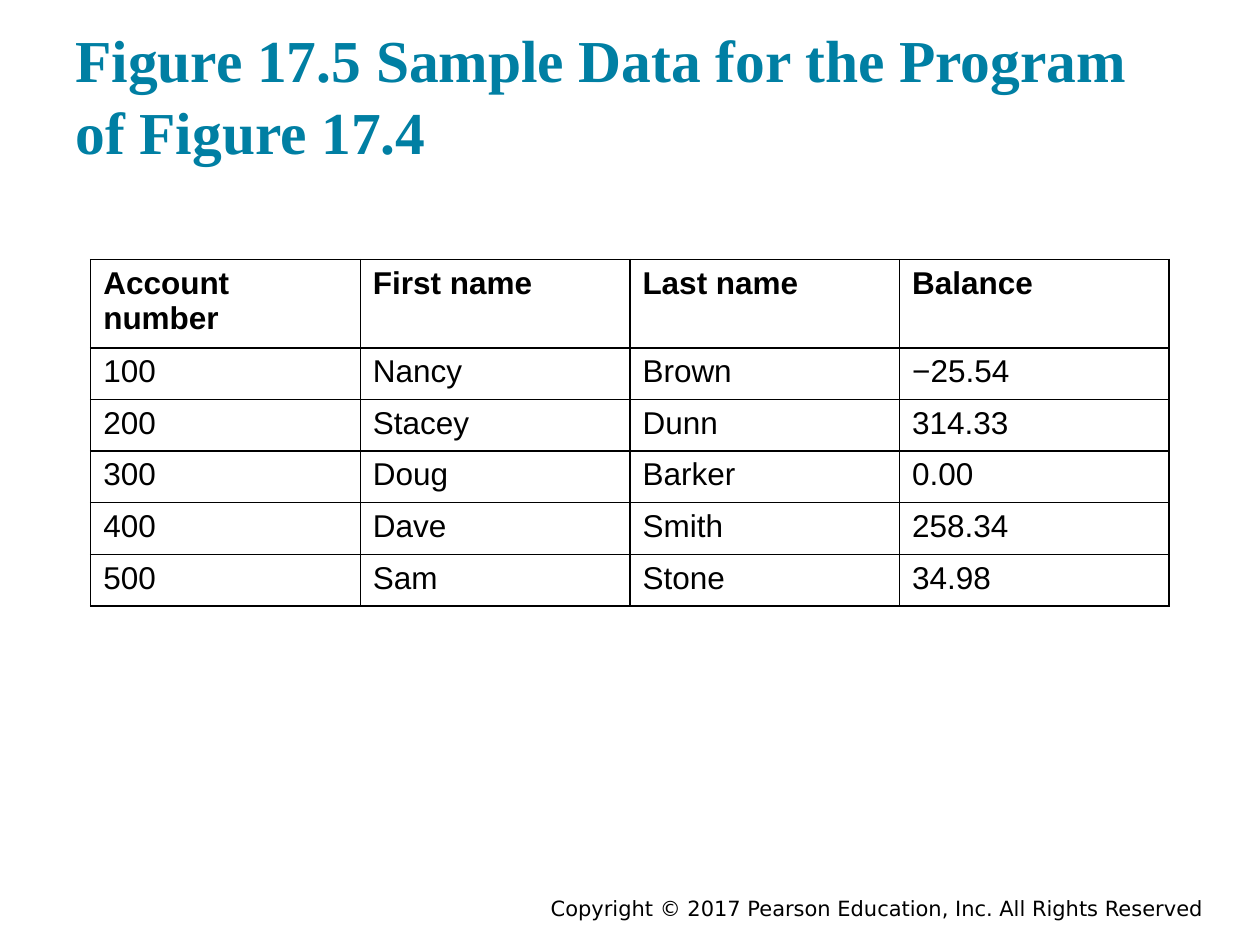
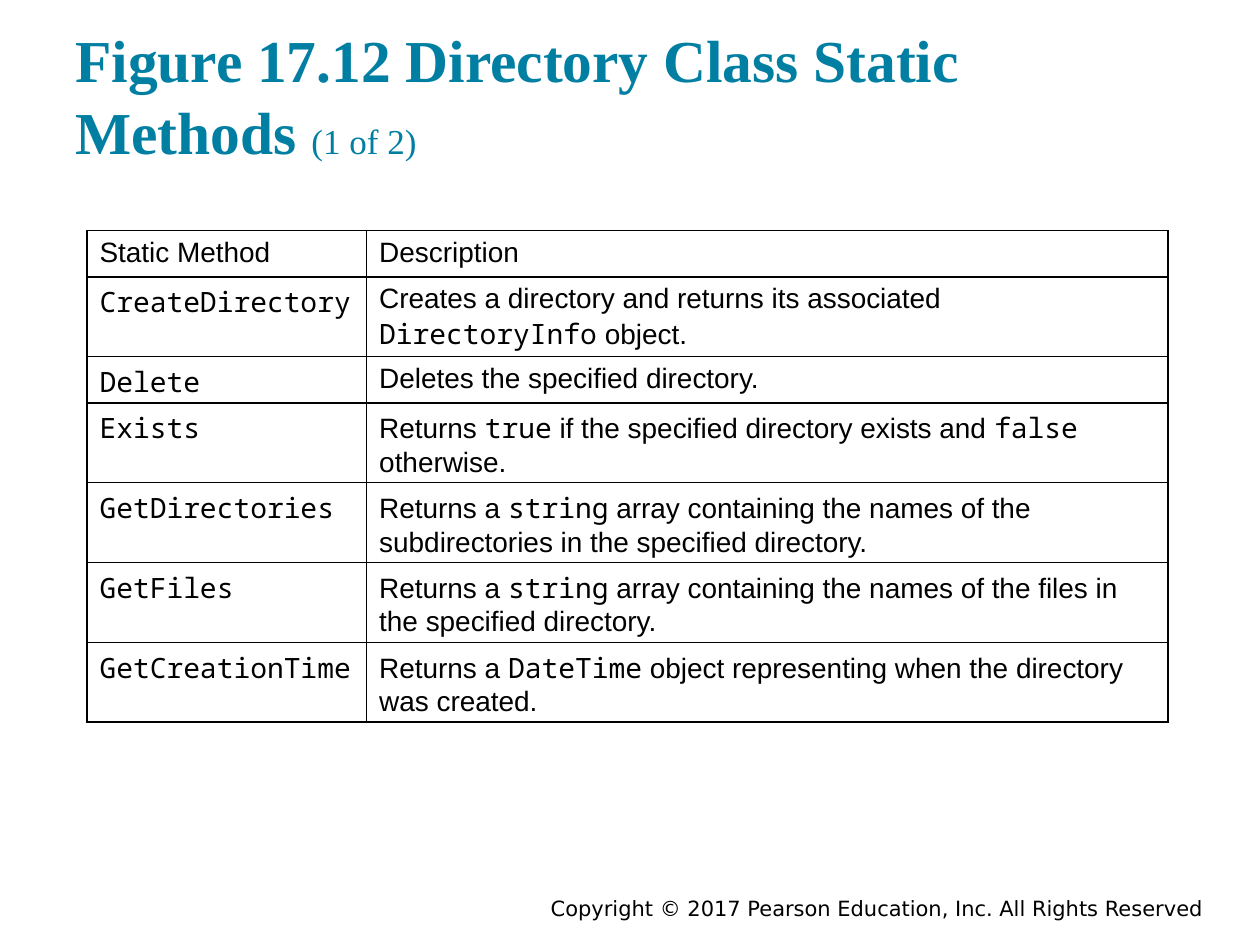
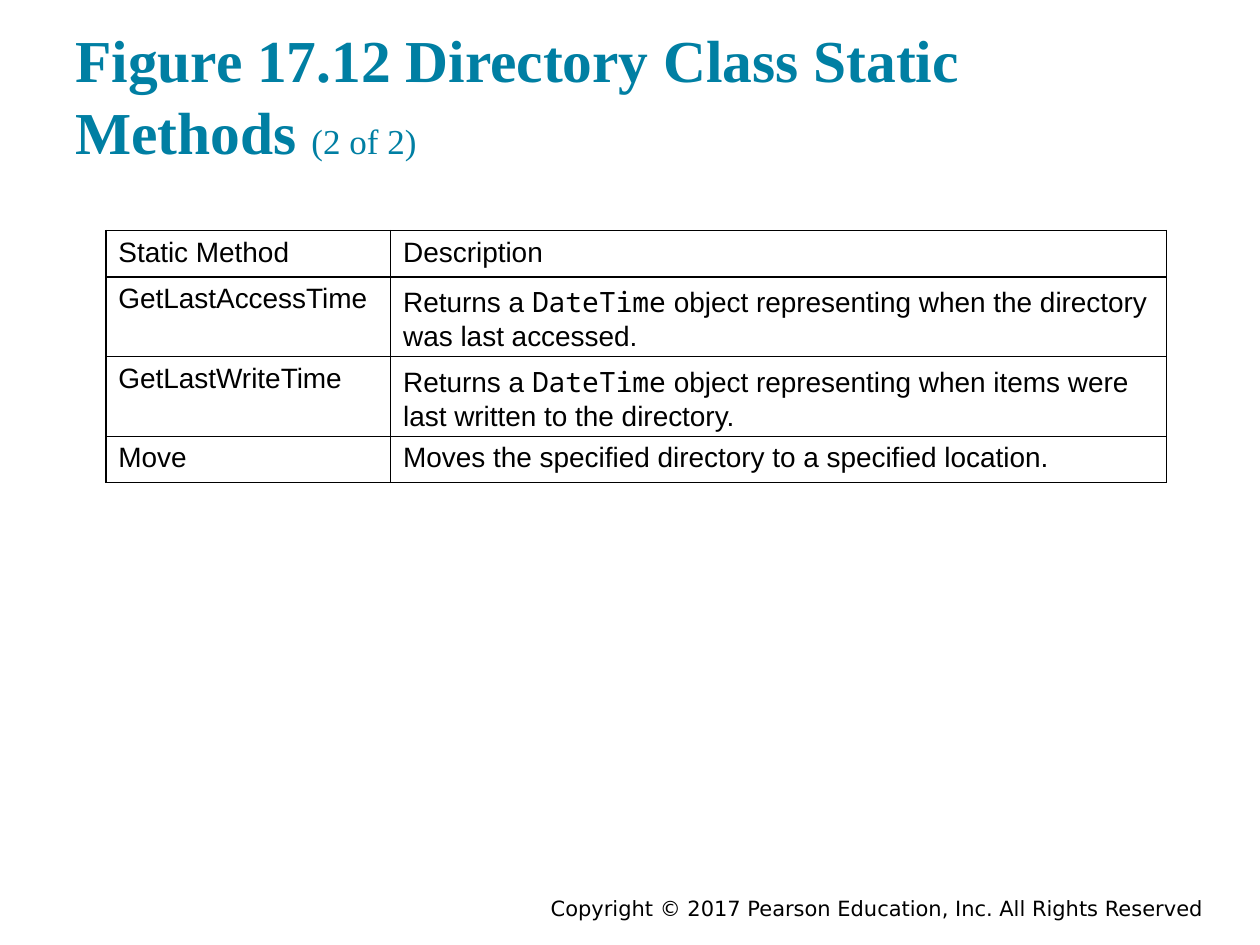
from pptx import Presentation
from pptx.dml.color import RGBColor
from pptx.enum.text import MSO_ANCHOR, PP_ALIGN
from pptx.oxml import parse_xml
from pptx.oxml.ns import nsdecls
from pptx.util import Inches, Pt

TEAL = RGBColor(0x00, 0x7F, 0xA3)
BLACK = RGBColor(0, 0, 0)
WHITE = RGBColor(0xFF, 0xFF, 0xFF)

TITLE_FONT = "Times New Roman"
BODY_FONT = "Arial"
CODE_FONT = "Noto Sans Mono"
FOOTER_FONT = "DejaVu Sans"
FOOTER = "Copyright © 2017 Pearson Education, Inc. All Rights Reserved"

METHOD_TITLE = "Figure 17.12 Directory Class Static Methods "
METHOD_HEADER = ("Static Method", "Description")

ACCOUNTS = [
    ("Account number", "First name", "Last name", "Balance"),
    ("100", "Nancy", "Brown", "−25.54"),
    ("200", "Stacey", "Dunn", "314.33"),
    ("300", "Doug", "Barker", "0.00"),
    ("400", "Dave", "Smith", "258.34"),
    ("500", "Sam", "Stone", "34.98"),
]

# Backticks mark words set in the code font.
FIRST_METHODS = [
    METHOD_HEADER,
    ("`CreateDirectory`", "Creates a directory and returns its associated `DirectoryInfo` object."),
    ("`Delete`", "Deletes the specified directory."),
    ("`Exists`", "Returns `true` if the specified directory exists and `false` otherwise."),
    ("`GetDirectories`", "Returns a `string` array containing the names of the "
                         "subdirectories in the specified directory."),
    ("`GetFiles`", "Returns a `string` array containing the names of the files "
                   "in the specified directory."),
    ("`GetCreationTime`", "Returns a `DateTime` object representing when the directory was created."),
]

LAST_METHODS = [
    METHOD_HEADER,
    ("GetLastAccessTime", "Returns a `DateTime` object representing when the directory "
                          "was last accessed."),
    ("GetLastWriteTime", "Returns a `DateTime` object representing when items were "
                         "last written to the directory."),
    ("Move", "Moves the specified directory to a specified location."),
]


def add_text(paragraph, text, *, size, font=BODY_FONT, color=BLACK, bold=False):
    """Append text to the paragraph, with backticked words in the code font."""
    for index, part in enumerate(text.split("`")):
        if part:
            run = paragraph.add_run()
            run.text = part
            run.font.name = CODE_FONT if index % 2 else font
            run.font.size = Pt(size)
            run.font.bold = bold
            run.font.color.rgb = color


def add_text_box(slide, left, top, width, height, anchor):
    """Add an empty wrapping text box and return its first paragraph."""
    box = slide.shapes.add_textbox(Inches(left), Inches(top), Inches(width), Inches(height))
    frame = box.text_frame
    frame.word_wrap = True
    frame.vertical_anchor = anchor
    frame.margin_top = frame.margin_bottom = Inches(0.1)
    return frame.paragraphs[0]


def add_slide(presentation, title, part=""):
    """Add a blank slide with the shared footer and title."""
    slide = presentation.slides.add_slide(presentation.slide_layouts[6])
    footer = add_text_box(slide, 3, 7.08, 6.65, 0.25, MSO_ANCHOR.MIDDLE)
    footer.alignment = PP_ALIGN.RIGHT
    add_text(footer, FOOTER, size=12, font=FOOTER_FONT)
    heading = add_text_box(slide, 0.5, 0.25, 9, 1.17, MSO_ANCHOR.BOTTOM)
    add_text(heading, title, size=34, font=TITLE_FONT, color=TEAL, bold=True)
    add_text(heading, part, size=20, font=TITLE_FONT, color=TEAL)
    return slide


def add_borders(cell):
    properties = cell._tc.get_or_add_tcPr()
    for position, side in enumerate(("lnL", "lnR", "lnT", "lnB")):
        border = parse_xml(
            f'<a:{side} {nsdecls("a")} w="{Pt(1)}"><a:solidFill>'
            f'<a:srgbClr val="{BLACK}"/></a:solidFill></a:{side}>')
        properties.insert(position, border)


def add_grid(slide, rows, left, top, column_widths, row_height, *, size, bold_header=False):
    """Add a white table with black borders; rows grow to fit their text."""
    frame = slide.shapes.add_table(
        len(rows), len(column_widths), Inches(left), Inches(top),
        Inches(sum(column_widths)), Inches(row_height * len(rows)))
    table = frame.table
    table.first_row = table.horz_banding = False
    for column, width in zip(table.columns, column_widths):
        column.width = Inches(width)
    for row_index, row in enumerate(rows):
        table.rows[row_index].height = Inches(row_height)
        for column_index, text in enumerate(row):
            cell = table.cell(row_index, column_index)
            cell.fill.solid()
            cell.fill.fore_color.rgb = WHITE
            add_borders(cell)
            add_text(cell.text_frame.paragraphs[0], text, size=size,
                     bold=bold_header and row_index == 0)


def main():
    presentation = Presentation()
    presentation.slide_width = Inches(10)
    presentation.slide_height = Inches(7.5)

    slide = add_slide(presentation, "Figure 17.5 Sample Data for the Program of Figure 17.4")
    add_grid(slide, ACCOUNTS, 0.72, 2.06, [2.14] * 4, 0.41, size=18, bold_header=True)

    slide = add_slide(presentation, METHOD_TITLE, "(1 of 2)")
    add_grid(slide, FIRST_METHODS, 0.69, 1.83, [2.22, 6.36], 0.34, size=16)

    slide = add_slide(presentation, METHOD_TITLE, "(2 of 2)")
    add_grid(slide, LAST_METHODS, 0.84, 1.83, [2.26, 6.16], 0.34, size=16)

    presentation.save("out.pptx")


if __name__ == "__main__":
    main()
